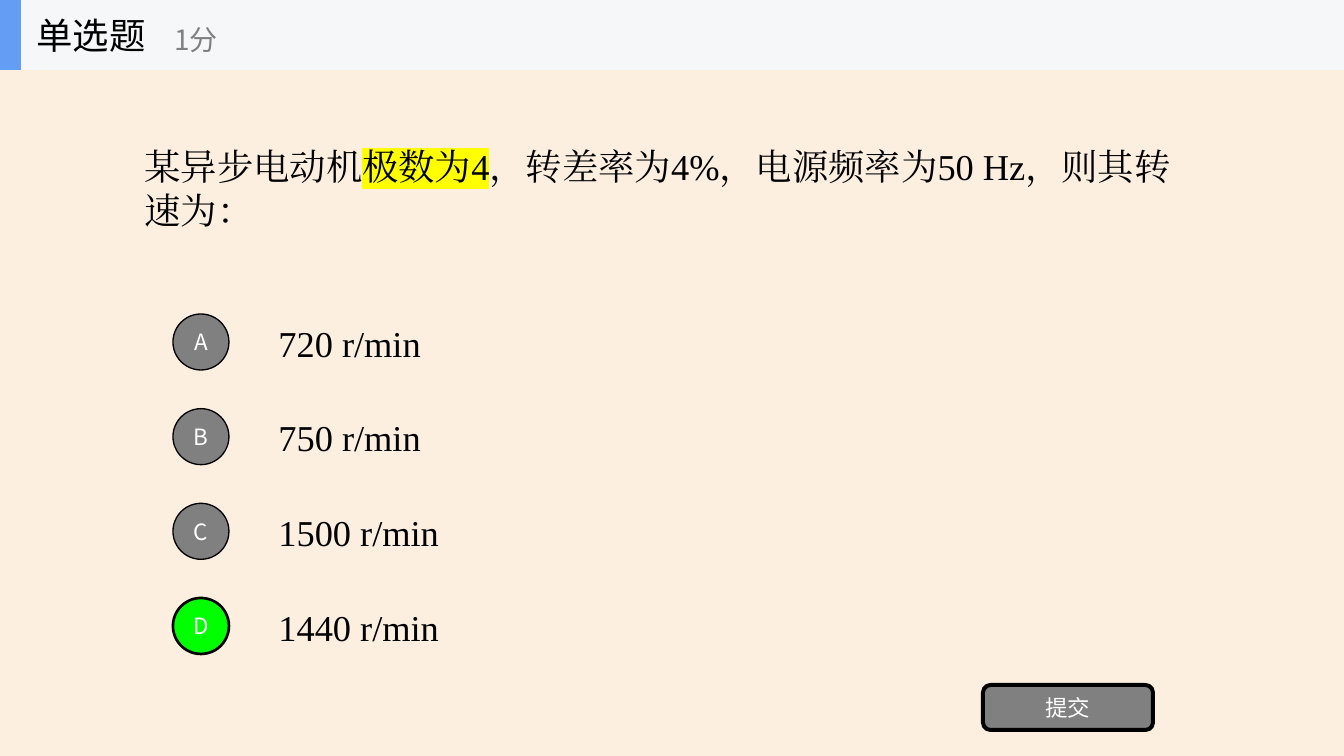
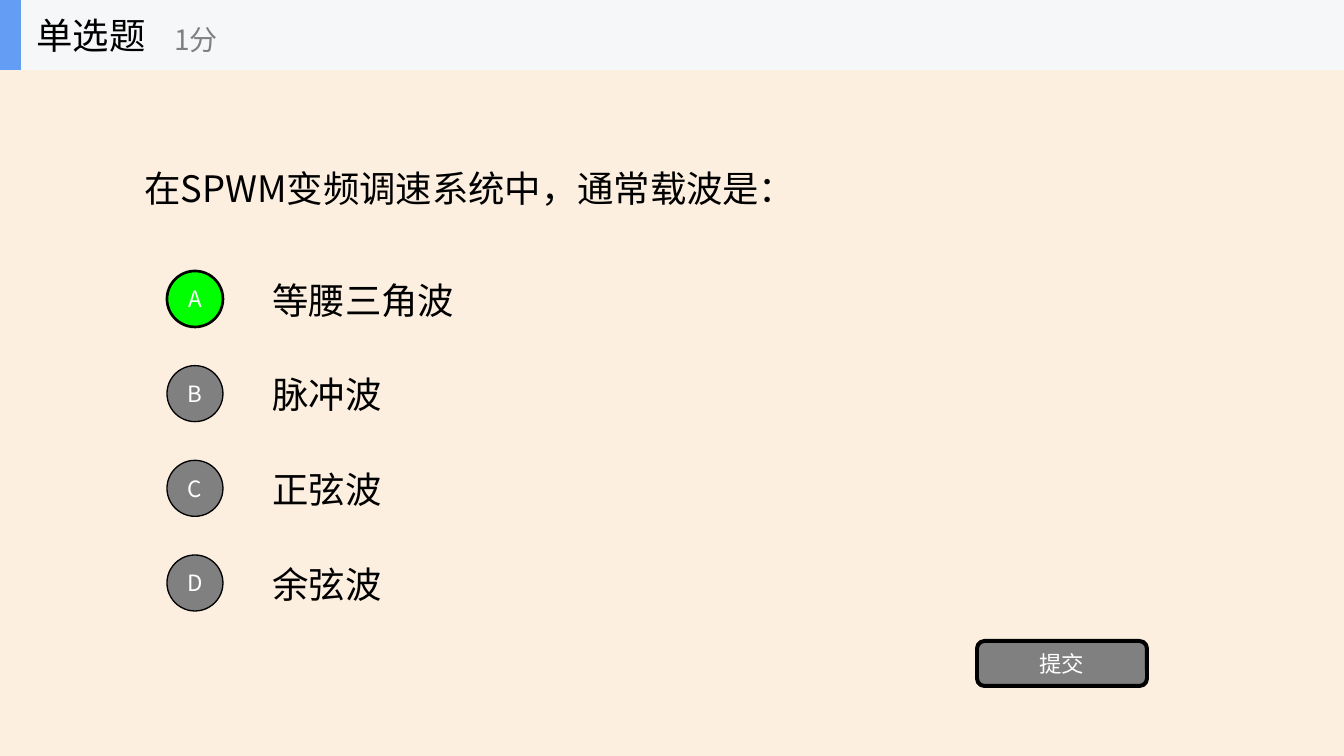
from lxml.etree import SubElement
from pptx import Presentation
from pptx.dml.color import RGBColor
from pptx.enum.lang import MSO_LANGUAGE_ID as Language
from pptx.enum.shapes import MSO_SHAPE as Shape
from pptx.enum.text import MSO_ANCHOR as Anchor, PP_ALIGN as Align
from pptx.oxml.ns import qn
from pptx.util import Emu, Pt

SANS = "Noto Sans CJK SC"
SERIF = "Times New Roman"
COLORS = {
    "page": "FCEFE0", "band": "F6F7F8", "accent": "639EF4", "text": "000000",
    "muted": "808080", "correct": "00FF00", "light": "FFFFFF", "marker": "FFFF00",
}
BODY_SIZE, SCORE_SIZE, BUTTON_SIZE = 27.4, 21.1, 16.9
QUIZZES = [
    {
        "font": SERIF,
        "question": [
            ("某异步电动机", None),
            ("极数为4", "marker"),
            ("，转差率为4%，电源频率为50 Hz，则其转速为：", None),
        ],
        "options": ["720 r/min", "750 r/min", "1500 r/min", "1440 r/min"],
        "answer": "D",
        "corner": (173, 307),
        "submit_top": 685,
    },
    {
        "font": SANS,
        "question": [("在SPWM变频调速系统中，通常载波是：", None)],
        "options": ["等腰三角波", "脉冲波", "正弦波", "余弦波"],
        "answer": "A",
        "corner": (167, 264),
        "submit_top": 641,
    },
]

WIDTH, HEIGHT, BAND_HEIGHT = 1344, 756, 70
QUESTION_BOX = (135, BAND_HEIGHT, 1076, 236)
OPTIONS_SPAN = 284
CIRCLE, CIRCLE_DROP = 56, 7
OPTION_INDENT, SUBMIT_INDENT = 96, 810


def px(length):
    """Turn pixels into EMU."""
    return Emu(round(length * 914400 / 95.6))


def rgb(name):
    """Look up a colour by name."""
    return RGBColor.from_string(COLORS[name])


def write(shape, runs, font_name, size, color, align=Align.LEFT):
    """Fill a shape with one paragraph made of (text, highlight) runs."""
    frame = shape.text_frame
    frame.word_wrap = True
    frame.vertical_anchor = Anchor.MIDDLE
    paragraph = frame.paragraphs[0]
    paragraph.alignment = align
    for text, highlight in runs:
        run = paragraph.add_run()
        run.text = text
        run.font.size = Pt(size)
        run.font.language_id = Language.SIMPLIFIED_CHINESE
        run.font.color.rgb = rgb(color)
        properties = run._r.get_or_add_rPr()
        if highlight:
            marker = SubElement(properties, qn("a:highlight"))
            SubElement(marker, qn("a:srgbClr"), val=COLORS[highlight])
        run.font.name = font_name
        SubElement(properties, qn("a:ea"), typeface=font_name)


def add_text(shapes, box, runs, font_name, size, color="text"):
    """Add a left-aligned text box."""
    text_box = shapes.add_textbox(*map(px, box))
    write(text_box, runs, font_name, size, color)


def add_block(shapes, kind, box, fill, line_width=0):
    """Add a flat filled shape, outlined when a line width is given."""
    shape = shapes.add_shape(kind, *map(px, box))
    shape.shadow.inherit = False
    shape.fill.solid()
    shape.fill.fore_color.rgb = rgb(fill)
    if line_width:
        shape.line.color.rgb = rgb("text")
        shape.line.width = Pt(line_width)
    else:
        shape.line.fill.background()
    return shape


def add_button(shapes, kind, box, label, fill, line_width):
    """Add an outlined button with a centred label."""
    button = add_block(shapes, kind, box, fill, line_width)
    write(button, [(label, None)], SANS, BUTTON_SIZE, "light", Align.CENTER)


def add_header(slide):
    """Add the grouped title band."""
    shapes = slide.shapes.add_group_shape().shapes
    add_block(shapes, Shape.RECTANGLE, (0, 0, WIDTH, BAND_HEIGHT), "band")
    add_block(shapes, Shape.RECTANGLE, (0, 0, 21, BAND_HEIGHT), "accent")
    add_text(shapes, (27, 0, 210, BAND_HEIGHT), [("单选题", None)], SANS, BODY_SIZE)
    add_text(shapes, (165, 11, 252, 56), [("1分", None)], SANS, SCORE_SIZE, "muted")


def add_quiz(presentation, quiz):
    """Add one single-choice question slide."""
    slide = presentation.slides.add_slide(presentation.slide_layouts[6])
    slide.background.fill.solid()
    slide.background.fill.fore_color.rgb = rgb("page")
    shapes = slide.shapes
    add_text(shapes, QUESTION_BOX, quiz["question"], quiz["font"], BODY_SIZE)
    left, first_top = quiz["corner"]
    gaps = len(quiz["options"]) - 1
    for index, (letter, option) in enumerate(zip("ABCD", quiz["options"])):
        top = first_top + index * OPTIONS_SPAN / gaps
        add_text(shapes, (left + OPTION_INDENT, top, 941, 71),
                 [(option, None)], quiz["font"], BODY_SIZE)
        fill, line_width = ("correct", 2) if letter == quiz["answer"] else ("muted", 1)
        add_button(shapes, Shape.OVAL, (left, top + CIRCLE_DROP, CIRCLE, CIRCLE),
                   letter, fill, line_width)
    add_button(shapes, Shape.ROUNDED_RECTANGLE,
               (left + SUBMIT_INDENT, quiz["submit_top"], 170, 45), "提交", "muted", 3)
    add_header(slide)


def main():
    """Build the quiz presentation."""
    presentation = Presentation()
    presentation.slide_width = px(WIDTH)
    presentation.slide_height = px(HEIGHT)
    for quiz in QUIZZES:
        add_quiz(presentation, quiz)
    presentation.save("out.pptx")


if __name__ == "__main__":
    main()
